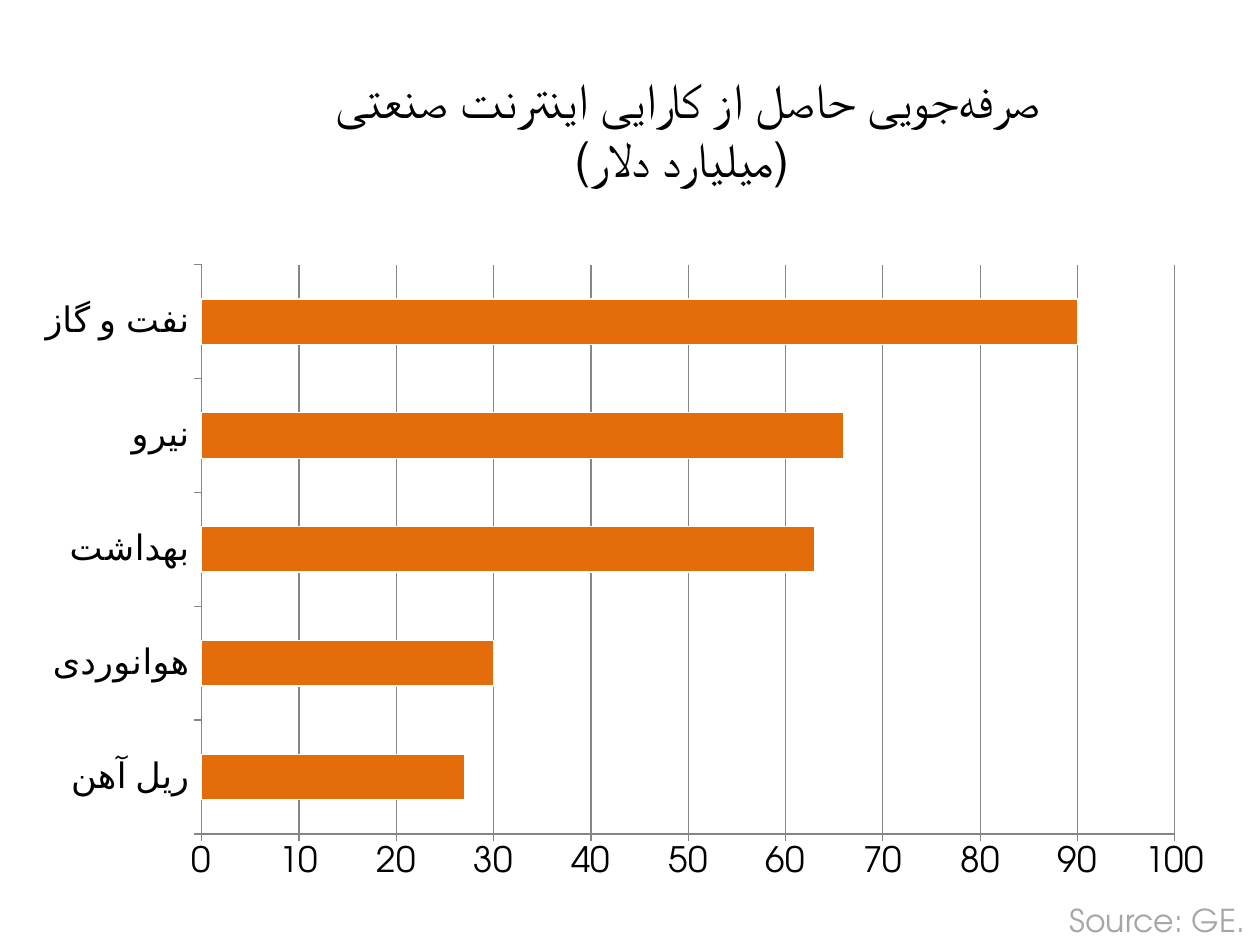
from pptx import Presentation
from pptx.chart.data import CategoryChartData
from pptx.dml.color import RGBColor
from pptx.enum.chart import XL_CHART_TYPE, XL_TICK_MARK
from pptx.enum.text import MSO_ANCHOR, MSO_AUTO_SIZE, PP_ALIGN
from pptx.util import Inches, Pt

NON_JOINER = chr(0x200C)
TITLE_LINES = [f"صرفه{NON_JOINER}جویی حاصل از کارایی اینترنت صنعتی ", "(میلیارد دلار)"]
SOURCE = "Source: GE."
SAVINGS = [
    ("ریل آهن", 27),
    ("هوانوردی", 30),
    ("بهداشت", 63),
    ("نیرو", 66),
    ("نفت و گاز", 90),
]
COLORS = {"text": "000000", "bar": "E46C0A", "edge": "FFFFFF", "axis": "868686", "source": "A6A6A6"}
TITLE_FONT = "Calibri"
LABEL_FONT = "TeX Gyre Adventor"


def color(name):
    return RGBColor.from_string(COLORS[name])


def format_font(font, name, size, color_name):
    font.name = name
    font.size = Pt(size)
    font.color.rgb = color(color_name)


def format_line(line, color_name):
    line.color.rgb = color(color_name)
    line.width = Pt(0.75)


def add_title(slide):
    title = slide.shapes.title
    title.left, title.top, title.width, title.height = map(Inches, (1.58, 0.5, 7.67, 1.04))
    text_frame = title.text_frame
    text_frame.text = "\n".join(TITLE_LINES)
    text_frame.word_wrap = True
    text_frame.vertical_anchor = MSO_ANCHOR.TOP
    text_frame.auto_size = MSO_AUTO_SIZE.SHAPE_TO_FIT_TEXT
    for paragraph in text_frame.paragraphs:
        paragraph.alignment = PP_ALIGN.CENTER
        paragraph._p.get_or_add_pPr().set("rtl", "1")
        format_font(paragraph.runs[0].font, TITLE_FONT, 28, "text")


def add_savings_chart(slide):
    data = CategoryChartData()
    data.categories = [sector for sector, _ in SAVINGS]
    data.add_series("Series 1", [value for _, value in SAVINGS])
    frame = slide.shapes.add_chart(
        XL_CHART_TYPE.BAR_CLUSTERED, *map(Inches, (0.17, 2, 9.58, 5.08)), data
    )
    chart = frame.chart
    chart.has_legend = False
    chart.has_title = False
    format_font(chart.font, TITLE_FONT, 18, "text")

    for axis in (chart.category_axis, chart.value_axis):
        axis.major_tick_mark = XL_TICK_MARK.OUTSIDE
        format_font(axis.tick_labels.font, LABEL_FONT, 20, "text")
        format_line(axis.format.line, "axis")
    chart.category_axis.has_major_gridlines = False
    value_axis = chart.value_axis
    value_axis.minimum_scale, value_axis.maximum_scale, value_axis.major_unit = 0, 100, 10
    value_axis.has_major_gridlines = True
    format_line(value_axis.major_gridlines.format.line, "axis")

    plot = chart.plots[0]
    plot.gap_width = 150
    plot.vary_by_categories = False
    bars = plot.series[0].format
    bars.fill.solid()
    bars.fill.fore_color.rgb = color("bar")
    format_line(bars.line, "edge")


def add_source(slide):
    box = slide.shapes.add_textbox(*map(Inches, (8.39, 7.1, 1.61, 0.4)))
    text_frame = box.text_frame
    text_frame.text = SOURCE
    text_frame.word_wrap = False
    text_frame.auto_size = MSO_AUTO_SIZE.SHAPE_TO_FIT_TEXT
    format_font(text_frame.paragraphs[0].runs[0].font, LABEL_FONT, 18, "source")


def main():
    presentation = Presentation()
    presentation.slide_width, presentation.slide_height = Inches(10), Inches(7.5)
    slide = presentation.slides.add_slide(presentation.slide_layouts[5])
    add_savings_chart(slide)
    add_source(slide)
    add_title(slide)
    presentation.save("out.pptx")


if __name__ == "__main__":
    main()
